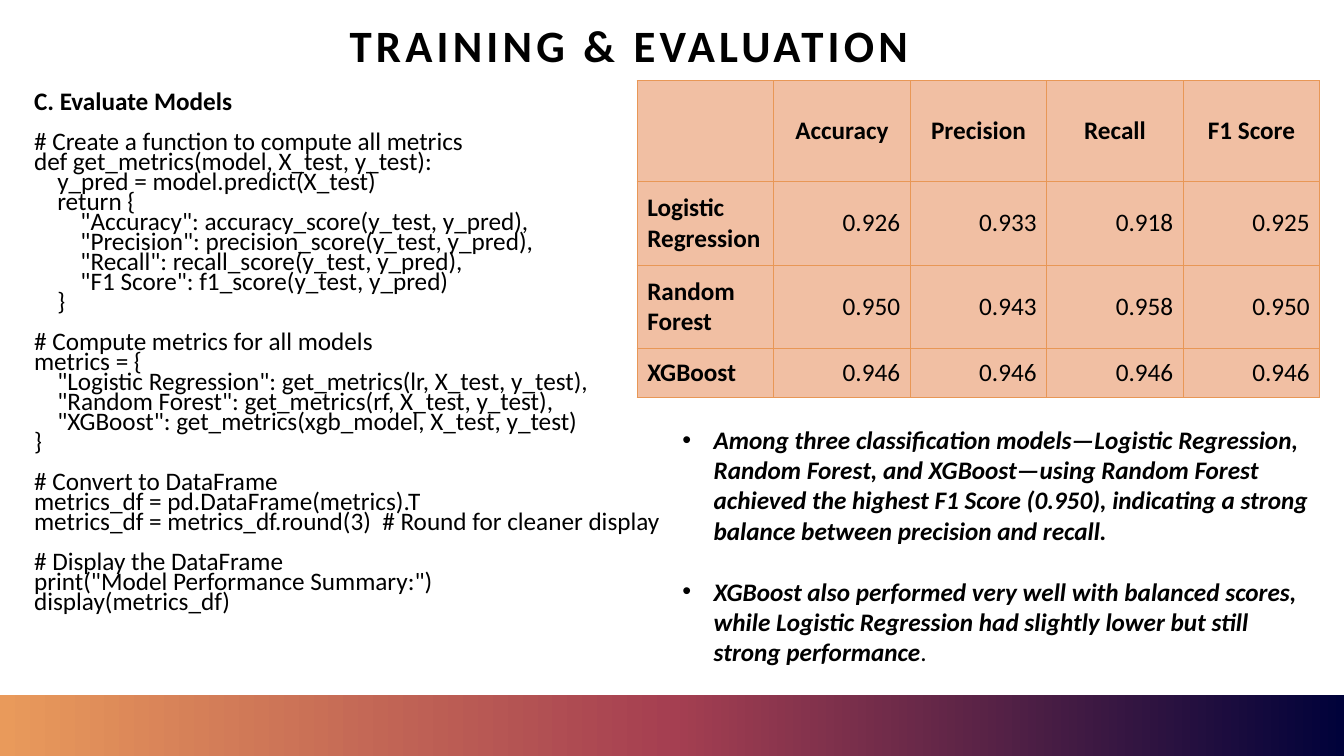
from copy import deepcopy

from lxml import etree
from pptx import Presentation
from pptx.dml.color import RGBColor
from pptx.enum.shapes import MSO_SHAPE
from pptx.enum.text import MSO_ANCHOR, PP_ALIGN
from pptx.oxml import parse_xml
from pptx.oxml.ns import nsdecls, qn
from pptx.util import Inches, Pt

BLACK = RGBColor(0x00, 0x00, 0x00)
NAVY = RGBColor(0x00, 0x02, 0x3A)
CRIMSON = RGBColor(0xA5, 0x3F, 0x51)
ORANGE = RGBColor(0xE9, 0x9A, 0x5B)
PEACH = RGBColor(0xF1, 0xBF, 0xA3)
BORDER = RGBColor(0xE8, 0x97, 0x56)

CODE_LINE = Pt(14.28)
CODE_INDENT = Inches(0.23)
BULLET_INDENT = Inches(0.31)
BULLET_GAP = Pt(22)

# Each code block is a list of (indent level, line)
CODE_BLOCKS = [
    [
        (0, "# Create a function to compute all metrics"),
        (0, "def get_metrics(model, X_test, y_test):"),
        (1, "y_pred = model.predict(X_test)"),
        (1, "return {"),
        (2, '"Accuracy": accuracy_score(y_test, y_pred),'),
        (2, '"Precision": precision_score(y_test, y_pred),'),
        (2, '"Recall": recall_score(y_test, y_pred),'),
        (2, '"F1 Score": f1_score(y_test, y_pred)'),
        (1, "}"),
    ],
    [
        (0, "# Compute metrics for all models"),
        (0, "metrics = {"),
        (1, '"Logistic Regression": get_metrics(lr, X_test, y_test),'),
        (1, '"Random Forest": get_metrics(rf, X_test, y_test),'),
        (1, '"XGBoost": get_metrics(xgb_model, X_test, y_test)'),
        (0, "}"),
    ],
    [
        (0, "# Convert to DataFrame"),
        (0, "metrics_df = pd.DataFrame(metrics).T"),
        (0, "metrics_df = metrics_df.round(3)  # Round for cleaner display"),
    ],
    [
        (0, "# Display the DataFrame"),
        (0, 'print("Model Performance Summary:")'),
        (0, "display(metrics_df)"),
    ],
]
SCORES = [
    ["", "Accuracy", "Precision", "Recall", "F1 Score"],
    ["Logistic Regression", "0.926", "0.933", "0.918", "0.925"],
    ["Random Forest", "0.950", "0.943", "0.958", "0.950"],
    ["XGBoost", "0.946", "0.946", "0.946", "0.946"],
]
ROW_HEIGHTS = [1, 0.83, 0.83, 0.48]
FINDINGS = [
    ("Among three classification models—Logistic Regression, Random Forest, "
     "and XGBoost—using Random Forest achieved the highest F1 Score (0.950), "
     "indicating a strong balance between precision and recall."),
    ("XGBoost also performed very well with balanced scores, while Logistic "
     "Regression had slightly lower but still strong performance"),
]


def add_text(paragraph, text, size=18, bold=False, italic=False, align=PP_ALIGN.LEFT):
    paragraph.alignment = align
    run = paragraph.add_run()
    run.text = text
    run.font.name = "Calibri"
    run.font.size = Pt(size)
    run.font.bold = bold
    run.font.italic = italic
    run.font.color.rgb = BLACK


def add_text_box(left, top, width, height):
    box = slide.shapes.add_textbox(Inches(left), Inches(top), Inches(width), Inches(height))
    box.text_frame.word_wrap = True
    return box


presentation = Presentation()
presentation.slide_width = Inches(13.33)
presentation.slide_height = Inches(7.5)
slide = presentation.slides.add_slide(presentation.slide_layouts[6])

# Footer band: a third gradient stop is cloned from the first
band = slide.shapes.add_shape(
    MSO_SHAPE.RECTANGLE, Inches(0), Inches(6.89), Inches(13.33), Inches(0.61))
band.shadow.inherit = False
band.line.fill.background()
band.fill.gradient()
band.fill.gradient_angle = 0
first_stop = band.element.find(".//" + qn("a:gs"))
first_stop.addnext(deepcopy(first_stop))
band_colors = [(0, ORANGE), (0.5, CRIMSON), (1, NAVY)]
for stop, (position, color) in zip(band.fill.gradient_stops, band_colors):
    stop.position = position
    stop.color.rgb = color

# Title, with letters spaced by 3 points
title_box = add_text_box(0.49, -0.25, 11.5, 1.45)
title_box.text_frame.vertical_anchor = MSO_ANCHOR.MIDDLE
title = title_box.text_frame.paragraphs[0]
title.line_spacing = 0.9
add_text(title, "TRAINING & EVALUATION", size=32, bold=True, align=PP_ALIGN.CENTER)
title_box.element.find(".//" + qn("a:rPr")).set("spc", "300")

# Code listing: one blank line's height before each block
code_box = add_text_box(0.24, 0.9, 7.06, 5.22)
heading = code_box.text_frame.paragraphs[0]
heading.line_spacing = CODE_LINE
add_text(heading, "C. Evaluate Models", bold=True)
for block in CODE_BLOCKS:
    for line_index, (level, line) in enumerate(block):
        paragraph = code_box.text_frame.add_paragraph()
        paragraph.line_spacing = CODE_LINE
        if line_index == 0:
            paragraph.space_before = CODE_LINE
        add_text(paragraph, line)
        code_box.element.findall(".//" + qn("a:pPr"))[-1].set(
            "marL", str(level * CODE_INDENT))

# Score table
table_frame = slide.shapes.add_table(
    len(SCORES), len(SCORES[0]), Inches(6.32), Inches(0.8), Inches(6.77), Inches(3.14))
table = table_frame.table
for column in table.columns:
    column.width = Inches(6.77 / len(SCORES[0]))
for row_index, values in enumerate(SCORES):
    table.rows[row_index].height = Inches(ROW_HEIGHTS[row_index])
    for column_index, value in enumerate(values):
        cell = table.cell(row_index, column_index)
        cell.vertical_anchor = MSO_ANCHOR.MIDDLE
        cell.fill.solid()
        cell.fill.fore_color.rgb = PEACH
        is_header = row_index == 0
        is_model_name = column_index == 0
        if is_header:
            align = PP_ALIGN.CENTER
        elif is_model_name:
            align = PP_ALIGN.LEFT
        else:
            align = PP_ALIGN.RIGHT
        if value:
            add_text(cell.text_frame.paragraphs[0], value,
                     bold=is_header or is_model_name, align=align)

# Cell borders come before the fill in the cell properties
for cell_properties in table_frame.element.iter(qn("a:tcPr")):
    for side_index, side in enumerate(["lnL", "lnR", "lnT", "lnB"]):
        cell_properties.insert(side_index, parse_xml(
            f'<a:{side} {nsdecls("a")} w="{Pt(1)}"><a:solidFill>'
            f'<a:srgbClr val="{BORDER}"/></a:solidFill></a:{side}>'))

# Findings as bullets with a hanging indent
findings_box = add_text_box(6.67, 4.16, 6.51, 2.52)
for finding_index, finding in enumerate(FINDINGS):
    if finding_index == 0:
        paragraph = findings_box.text_frame.paragraphs[0]
    else:
        paragraph = findings_box.text_frame.add_paragraph()
        paragraph.space_before = BULLET_GAP
    add_text(paragraph, finding, bold=True, italic=True)
add_text(paragraph, ".")
for paragraph_properties in findings_box.element.iter(qn("a:pPr")):
    paragraph_properties.set("marL", str(BULLET_INDENT))
    paragraph_properties.set("indent", str(-BULLET_INDENT))
    etree.SubElement(paragraph_properties, qn("a:buFont")).set("typeface", "Arial")
    etree.SubElement(paragraph_properties, qn("a:buChar")).set("char", "•")

presentation.save("out.pptx")
